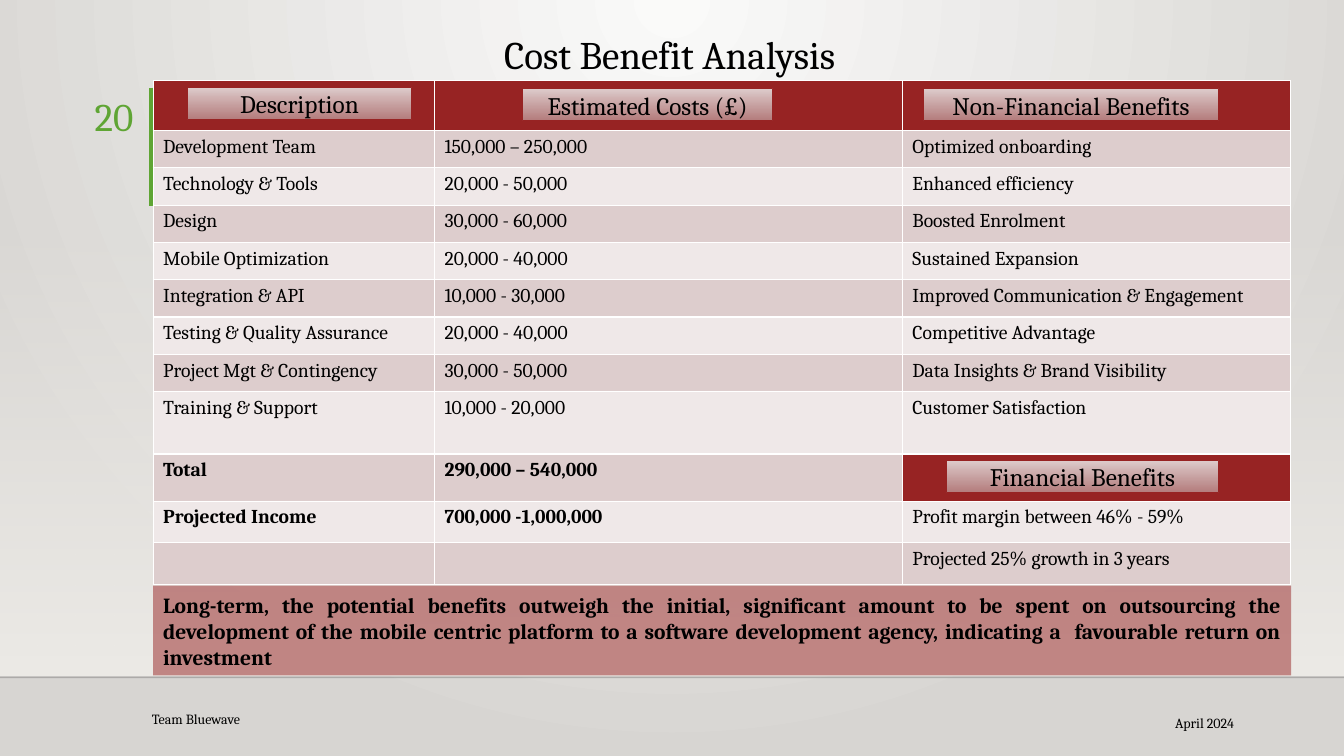
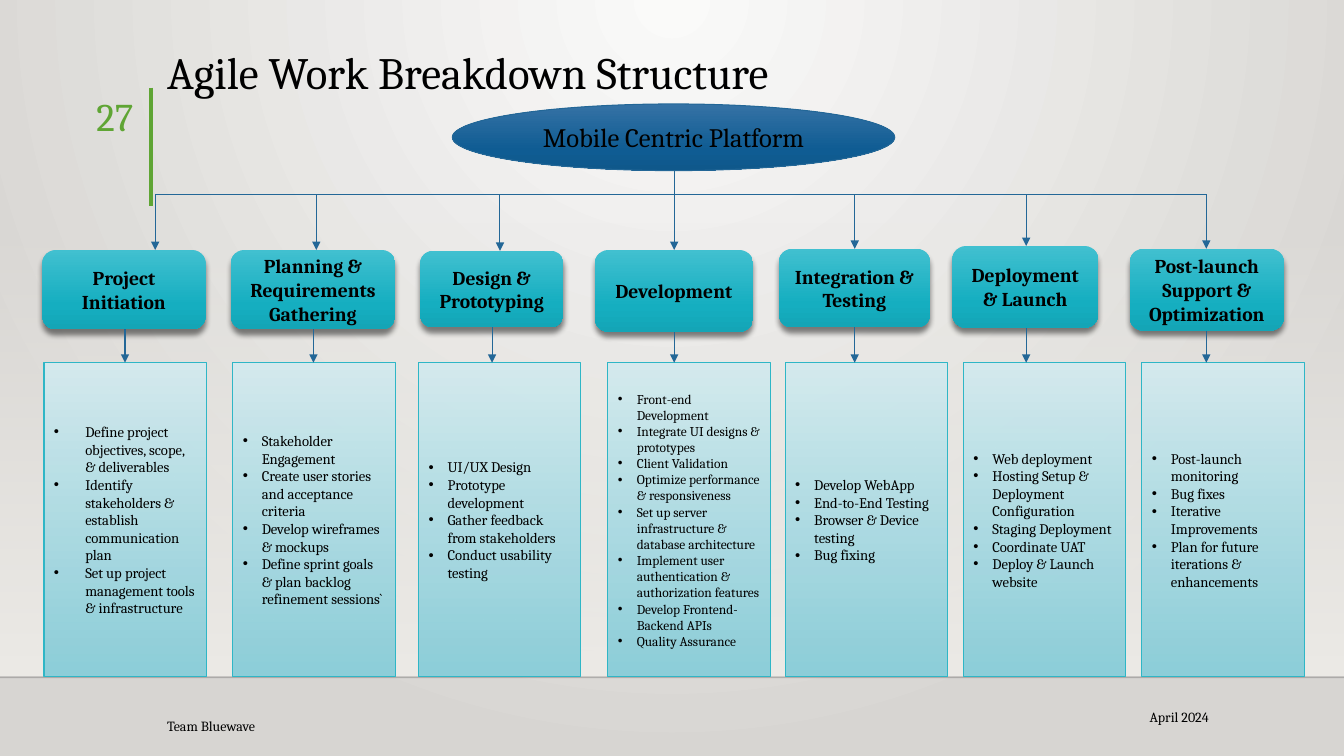
import dataclasses

import lxml.etree
import pptx
import pptx.dml.color
import pptx.enum.shapes
import pptx.enum.text
import pptx.oxml.ns
import pptx.util

Cm = pptx.util.Cm
Pt = pptx.util.Pt
qn = pptx.oxml.ns.qn
SHAPE = pptx.enum.shapes.MSO_SHAPE
ALIGN = pptx.enum.text.PP_ALIGN
ANCHOR = pptx.enum.text.MSO_ANCHOR


@dataclasses.dataclass(frozen=True)
class Theme:
    width: float = 33.87
    height: float = 19.05
    font: str = "Cambria"
    text: str = "000000"
    accent: str = "5FA534"
    red: str = "972323"
    bands: tuple = ("DDCDCD", "EFE8E8")
    connector: str = "236797"
    card_line: str = "2FB6C6"
    rule: str = "000001"
    page: tuple = ((0, "FAFAF9", 100), (100, "D7D5D2", 100))
    floor: tuple = ((0, "EDEBE7", 0), (100, "EDEBE7", 100))
    label: tuple = ((0, "DFCECE", 100), (100, "B78484", 92))
    root: tuple = ((0, "3572A5", 100), (69, "0F5C93", 100), (100, "0F588B", 100))
    phase: tuple = ((0, "41C0D0", 100), (69, "15AEC0", 100), (100, "14A5B6", 100))
    card: tuple = ((0, "D5EBEF", 100), (100, "85CCD8", 92))
    number_size: float = 28
    root_size: float = 19
    label_size: float = 18
    summary_size: float = 15.4
    body_size: float = 14
    card_size: float = 10.5
    footer_size: float = 10


T = Theme()

COSTS = [
    ("", "", ""),
    ("Development Team", "150,000 – 250,000", "Optimized onboarding"),
    ("Technology & Tools", "20,000 - 50,000", "Enhanced efficiency"),
    ("Design", "30,000 - 60,000", "Boosted Enrolment"),
    ("Mobile Optimization", "20,000 - 40,000", "Sustained Expansion"),
    ("Integration & API", "10,000 - 30,000", "Improved Communication & Engagement"),
    ("Testing & Quality Assurance", "20,000 - 40,000", "Competitive Advantage"),
    ("Project Mgt & Contingency", "30,000 - 50,000", "Data Insights & Brand Visibility"),
    ("Training & Support", "10,000 - 20,000", "Customer Satisfaction"),
    ("Total", "290,000 – 540,000", ""),
    ("Projected Income", "700,000 -1,000,000", "Profit margin between 46% - 59%"),
    ("", "", "Projected 25% growth in 3 years"),
]
COLUMN_WIDTHS = [7.09, 11.79, 9.79]
ROW_HEIGHTS = [1.26] + [0.94] * 7 + [1.57, 1.19, 1.05, 1.05]
RED_CELLS = {(0, 0), (0, 1), (0, 2), (9, 2)}
BOLD_CELLS = {(9, 0), (9, 1), (10, 0), (10, 1)}
LABELS = [
    ("Estimated Costs (£)", 9.3, 0.21, 6.32),
    ("Non-Financial Benefits", 19.41, 0.21, 7.44),
    ("Description", 0.86, 0.18, 5.66),
    ("Financial Benefits", 19.99, 9.58, 6.86),
]
SUMMARY = (
    "Long-term, the potential benefits outweigh the initial, significant amount to be spent on "
    "outsourcing the development of the mobile centric platform to a software development agency, "
    "indicating a  favourable return on investment"
)


@dataclasses.dataclass(frozen=True)
class Phase:
    name: str
    head: tuple
    card_left: float
    branch: float
    stem: float
    items: tuple
    size: float = T.card_size
    indent: float = 0.48


PHASES = [
    Phase("Project Initiation", (0, 3.68, 4.11, 2), 0.04, 2.84, 2.08, (
        "Define project objectives, scope, & deliverables",
        "Identify stakeholders & establish communication plan",
        "Set up project management tools & infrastructure"), indent=0.79),
    Phase("Planning & Requirements Gathering", (4.75, 3.68, 4.14, 2), 4.8, 6.9, 6.83, (
        "Stakeholder Engagement",
        "Create user stories and acceptance criteria",
        "Develop wireframes & mockups",
        "Define sprint goals & plan backlog refinement sessions`")),
    Phase("Design & Prototyping", (9.52, 3.7, 3.61, 1.93), 9.48, 11.53, 11.33, (
        "UI/UX Design",
        "Prototype development",
        "Gather feedback from stakeholders",
        "Conduct usability testing")),
    Phase("Development", (13.92, 3.68, 3.99, 2.06), 14.25, 15.92, 15.92, (
        "Front-end Development",
        "Integrate UI designs & prototypes",
        "Client Validation",
        "Optimize performance & responsiveness",
        "Set up server infrastructure & database architecture",
        "Implement user authentication & authorization features",
        "Develop Frontend-Backend APIs",
        "Quality Assurance"), size=9.6),
    Phase("Integration & Testing", (18.56, 3.65, 3.81, 1.98), 18.72, 20.47, 20.47, (
        "Develop WebApp",
        "End-to-End Testing",
        "Browser & Device testing",
        "Bug fixing")),
    Phase("Deployment & Launch", (22.93, 3.58, 3.68, 2.06), 23.21, 24.79, 24.79, (
        "Web deployment",
        "Hosting Setup & Deployment Configuration",
        "Staging Deployment",
        "Coordinate UAT",
        "Deploy & Launch website")),
    Phase("Post-launch Support & Optimization", (27.4, 3.65, 3.89, 2.06), 27.71, 29.33, 29.33, (
        "Post-launch monitoring",
        "Bug fixes",
        "Iterative Improvements",
        "Plan for future iterations & enhancements")),
]


def rgb(value):
    return pptx.dml.color.RGBColor.from_string(value)


def add(parent, tag, **attrs):
    return lxml.etree.SubElement(parent, qn(tag), {k: str(v) for k, v in attrs.items()})


def set_alpha(element, percent):
    add(next(element.iter(qn("a:srgbClr"))), "a:alpha", val=percent * 1000)


def set_gradient(fill, element, stops, radial=False):
    fill.gradient()
    grad = next(element.iter(qn("a:gradFill")))
    grad[:] = []
    gs_list = add(grad, "a:gsLst")
    for position, color, alpha in stops:
        gs = add(gs_list, "a:gs", pos=position * 1000)
        clr = add(gs, "a:srgbClr", val=color)
        if alpha < 100:
            add(clr, "a:alpha", val=alpha * 1000)
    if radial:
        circle = add(grad, "a:path", path="circle")
        add(circle, "a:fillToRect", l=43000, t=0, r=43000, b=100000)
    else:
        add(grad, "a:lin", ang=5400000, scaled=0)


def write(tf, lines, size, align=ALIGN.LEFT, bold=False, color=T.text, spacing=None, indent=None):
    tf.word_wrap = True
    for i, line in enumerate(lines):
        p = tf.add_paragraph() if i else tf.paragraphs[0]
        p.text = line
        p.alignment = align
        if spacing:
            p.line_spacing = spacing
        if indent:
            pPr = p._p.get_or_add_pPr()
            pPr.set("marL", str(Cm(indent)))
            pPr.set("indent", str(-Cm(indent)))
            add(pPr, "a:buFont", typeface="Arial")
            add(pPr, "a:buChar", char="•")
        p.font.name = T.font
        p.font.size = Pt(size)
        p.font.bold = bold
        p.font.color.rgb = rgb(color)


def add_text(s, box, line, size, anchor=ANCHOR.TOP, **style):
    tf = s.shapes.add_textbox(*map(Cm, box)).text_frame
    tf.vertical_anchor = anchor
    write(tf, [line], size, **style)


def add_box(s, kind, box, stops=None, fill=None, line=None):
    sp = s.shapes.add_shape(kind, *map(Cm, box))
    sp.shadow.inherit = False
    if stops:
        set_gradient(sp.fill, sp.element, stops)
    else:
        sp.fill.solid()
        sp.fill.fore_color.rgb = rgb(fill)
    if line:
        sp.line.color.rgb = rgb(line)
        sp.line.width = Pt(0.75)
    else:
        sp.line.fill.background()
    return sp


def add_line(s, ends, color=T.connector, width=0.75, arrow=False):
    cn = s.shapes.add_connector(pptx.enum.shapes.MSO_CONNECTOR.STRAIGHT, *map(Cm, ends))
    cn.line.color.rgb = rgb(color)
    cn.line.width = Pt(width)
    spPr = cn.element.spPr
    if arrow:
        add(spPr.find(qn("a:ln")), "a:tailEnd", type="triangle")
    add(spPr, "a:effectLst")
    return cn


def add_frame(prs, number, title, title_box, title_style, team_at, date_at):
    s = prs.slides.add_slide(prs.slide_layouts[6])
    set_gradient(s.background.fill, s.element, T.page, radial=True)
    add_box(s, SHAPE.RECTANGLE, (0, 5.59, T.width, 11.43), T.floor)
    rule = add_line(s, (0, 17.07, T.width, 17.07), T.rule, 1)
    set_alpha(rule.element.spPr, 20)
    add_line(s, (3.81, 2.21, 3.81, 5.18), T.accent, 3)
    add_text(s, title_box, title, anchor=ANCHOR.BOTTOM, spacing=0.9, **title_style)
    add_text(s, (1.35, 2.21, 2.26, 1.4), number, T.number_size, align=ALIGN.RIGHT, color=T.accent)
    add_text(s, (*team_at, 16.26, 0.86), "Team Bluewave", T.footer_size, ANCHOR.MIDDLE)
    add_text(s, (*date_at, 9.73, 0.86), "April 2024", T.footer_size, ANCHOR.MIDDLE, align=ALIGN.RIGHT)
    return s


def add_cost_table(s, left, top):
    width, height = sum(COLUMN_WIDTHS), sum(ROW_HEIGHTS)
    table = s.shapes.add_table(len(COSTS), len(COLUMN_WIDTHS), *map(Cm, (left, top, width, height))).table
    for column, w in zip(table.columns, COLUMN_WIDTHS):
        column.width = Cm(w)
    for i, (row, h) in enumerate(zip(table.rows, ROW_HEIGHTS)):
        row.height = Cm(h)
        for j, cell in enumerate(row.cells):
            cell.fill.solid()
            cell.fill.fore_color.rgb = rgb(T.red if (i, j) in RED_CELLS else T.bands[(i + 1) % 2])
            write(cell.text_frame, [COSTS[i][j]], T.body_size, bold=(i, j) in BOLD_CELLS)
    for label, x, y, w in LABELS:
        sp = add_box(s, SHAPE.RECTANGLE, (left + x, top + y, w, 0.81), T.label, line=T.red)
        write(sp.text_frame, [label], T.label_size, ALIGN.CENTER)


def add_summary(s, box):
    sp = add_box(s, SHAPE.RECTANGLE, box, fill=T.red)
    set_alpha(sp.element.spPr, 50)
    write(sp.text_frame, [SUMMARY], T.summary_size, ALIGN.JUSTIFY, bold=True)


def add_phase(s, phase, left, top, branch_top):
    x, y, w, h = phase.head
    card_top = top + 6.52
    branch, stem = left + phase.branch, left + phase.stem
    head = add_box(s, SHAPE.ROUNDED_RECTANGLE, (left + x, top + y, w, h), T.phase)
    shadow = add(head.element.spPr.find(qn("a:effectLst")), "a:outerShdw",
                 blurRad=Pt(4), dist=Pt(4), dir=5400000, rotWithShape=0)
    clr = add(shadow, "a:srgbClr", val="000000")
    add(clr, "a:alpha", val=48000)
    write(head.text_frame, [phase.name], T.body_size, ALIGN.CENTER, bold=True)
    card = add_box(s, SHAPE.RECTANGLE, (left + phase.card_left, card_top, 4.09, 7.92), T.card, line=T.card_line)
    write(card.text_frame, phase.items, phase.size, indent=phase.indent)
    add_line(s, (branch, branch_top, branch, top + y), arrow=True)
    add_line(s, (stem, top + y + h, stem, card_top), arrow=True)


def add_breakdown(s, left, top):
    root_height, bus = 1.68, top + 2.28
    root = add_box(s, SHAPE.OVAL, (left + 10.33, top, 11.15, root_height), T.root, line=T.connector)
    write(root.text_frame, ["Mobile Centric Platform"], T.root_size, ALIGN.CENTER)
    add_line(s, (left + PHASES[0].branch, bus, left + PHASES[-1].branch, bus))
    middle = len(PHASES) // 2
    for i, phase in enumerate(PHASES):
        add_phase(s, phase, left, top, top + root_height if i == middle else bus)


def main():
    prs = pptx.Presentation()
    prs.slide_width, prs.slide_height = Cm(T.width), Cm(T.height)
    s = add_frame(prs, "20", "Cost Benefit Analysis", (11.71, 0.84, 10.34, 1.24),
                  {"size": 27.9, "align": ALIGN.CENTER}, (3.58, 17.68), (21.62, 17.78))
    add_cost_table(s, 3.86, 2.03)
    add_summary(s, (3.86, 14.76, 28.68, 2.26))
    s = add_frame(prs, "27", "Agile Work Breakdown Structure", (3.96, 0.56, 26.75, 2.06),
                  {"size": 32}, (3.96, 17.86), (20.98, 17.63))
    add_breakdown(s, 1.07, 2.62)
    prs.save("out.pptx")


if __name__ == "__main__":
    main()
